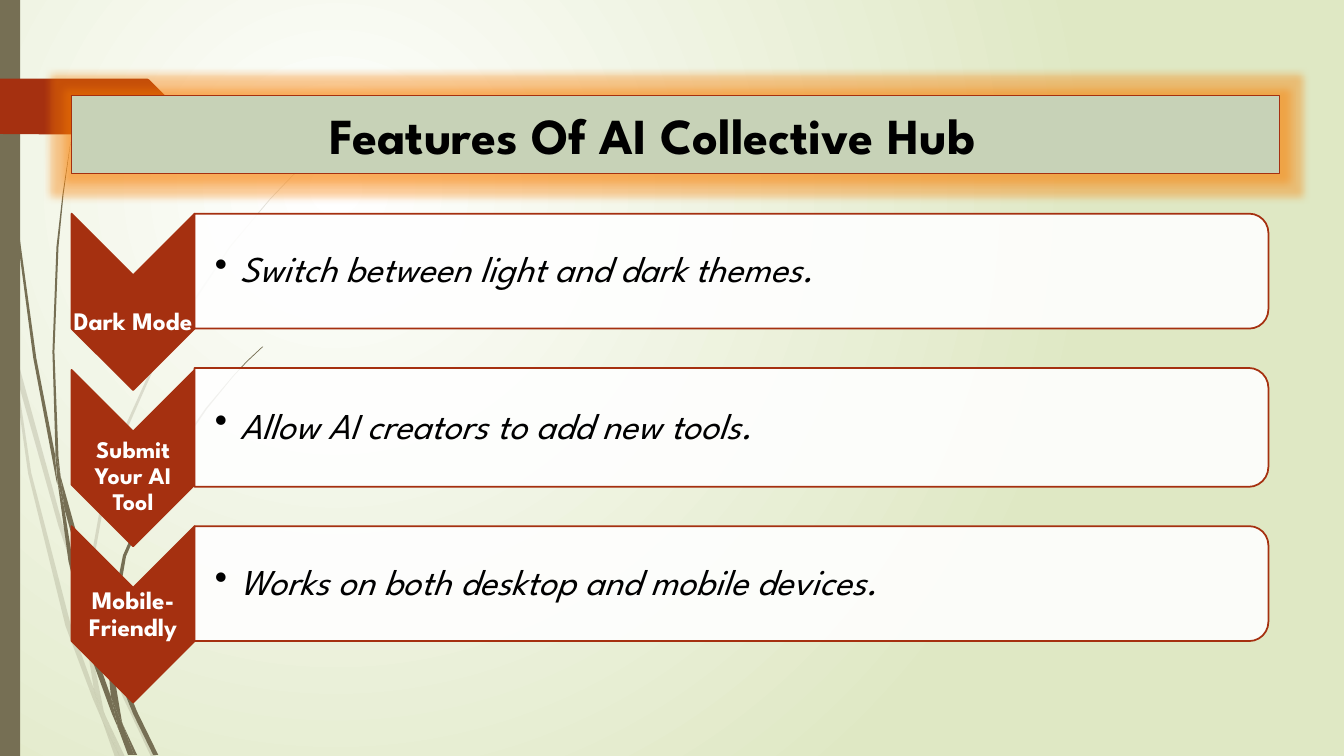
from lxml.etree import SubElement
from pptx import Presentation
from pptx.dml.color import RGBColor
from pptx.enum.shapes import MSO_SHAPE
from pptx.enum.text import MSO_ANCHOR, PP_ALIGN
from pptx.oxml.ns import qn
from pptx.util import Inches, Pt

FONT = "League Spartan"
RUST, OLIVE, SAGE, WHITE, BLACK = "A53010", "766F54", "C7D2B7", "FFFFFF", "000000"

# Outlines of the grass blades, in hundredths of an inch
PALE_BLADES = [
    "11,350 9,322 0,282 0,299 10,344",
    "58,522 84,599 85,586 62,520 14,345 17,376",
    "92,607 88,596 88,610 123,694 150,751 155,751 127,692",
    "119,751 124,751 105,711",
    "93,683 70,619 31,469 17,376 11,350 28,470 65,621 92,693 101,714 99,707",
    "84,599 87,646 93,683 96,692 105,711 103,706 91,646 88,610 88,608",
    "88,584 110,462 160,349 229,245 268,198 290,175 312,154 312,153 289,175 268,197 "
    "228,244 158,348 107,461 85,584 85,586 88,596",
    "101,714 114,751 119,751",
    "88,608 88,610 88,596 85,586 84,599",
    "96,692 93,683 99,707 101,714 119,751 105,711",
]
DARK_BLADES = [
    "7,110 17,233 33,355 56,477 57,481 55,457 55,453 36,355 19,232 8,109 5,48 4,0 3,0 4,48",
    "88,592 106,645 106,633 106,631 93,590 60,472 64,505",
    "113,649 110,641 111,656 132,708 152,749 157,749 136,706",
    "110,691 98,657 72,556 64,505 57,477 68,557 93,659 111,708 117,722 116,717",
    "60,472 58,453 54,349 58,245 63,193 70,141 62,193 56,245 52,349 55,449",
    "133,749 136,749 122,719",
    "57,477 64,505 60,472 55,449 55,453",
    "111,633 125,552 158,476 205,406 231,374 245,359 261,344 260,344 245,358 231,373 "
    "204,405 156,474 122,551 106,631 110,641",
    "117,722 127,749 131,749",
    "106,645 110,691 116,706 122,719 121,716 111,656 109,651",
    "106,645 109,651 111,656 110,641 106,631 106,633",
    "116,706 110,691 116,717 117,722 130,749 133,749 122,719",
]
RIBBON = "173,108 148,133 146,134 0,133 0,78 146,78 148,79 173,104"

# Label, label size, drop of the label below the chevron's centre, card height, text
FEATURES = [
    ("Dark Mode", 18, 0.2, 1.14, "Switch between light and dark themes."),
    ("Submit Your AI Tool", 17, 0.18, 1.18, "Allow AI creators to add new tools."),
    ("Mobile-Friendly", 18, 0, 1.14, "Works on both desktop and mobile devices."),
]


def rgb(color):
    return RGBColor.from_string(color)


def assign(target, formats):
    for name, value in formats.items():
        setattr(target, name, value)


def paint(sp, fill, line=None, width=1.25, alpha=None):
    sp.shadow.inherit = False
    sp.fill.solid()
    sp.fill.fore_color.rgb = rgb(fill)
    if alpha is not None:
        clr = sp.fill._xPr.find(qn("a:solidFill"))[0]
        SubElement(clr, qn("a:alpha"), val=str(alpha * 1000))
    if line:
        sp.line.color.rgb = rgb(line)
        sp.line.width = Pt(width)
    else:
        sp.line.fill.background()


def add_block(s, kind, x, y, w, h):
    return s.shapes.add_shape(kind, Inches(x), Inches(y), Inches(w), Inches(h))


def add_turned(s, kind, x, y, w, h):
    """Preset shape turned by 90 degrees that fills the given box."""
    sp = add_block(s, kind, x + (w - h) / 2, y + (h - w) / 2, h, w)
    sp.rotation = 90
    paint(sp, RUST, RUST)
    return sp


def write(sp, text, margins, color, para, font):
    tf = sp.text_frame
    sides = ("margin_left", "margin_top", "margin_right", "margin_bottom")
    assign(tf, dict(zip(sides, map(Inches, margins))))
    assign(tf, {"word_wrap": True, "vertical_anchor": MSO_ANCHOR.MIDDLE})
    p = tf.paragraphs[0]
    assign(p, para)
    r = p.add_run()
    r.text = text
    assign(r.font, {"name": FONT, **font})
    r.font.color.rgb = rgb(color)
    return p


def add_text(s, x, y, w, h, *args):
    box = s.shapes.add_textbox(Inches(x), Inches(y), Inches(w), Inches(h))
    return write(box, *args)


def add_outline(s, x, y, outline, fill, alpha=None):
    points = [tuple(map(int, pair.split(","))) for pair in outline.split()]
    builder = s.shapes.build_freeform(*points[0], scale=Inches(0.01))
    builder.add_line_segments(points[1:], close=True)
    paint(builder.convert_to_shape(Inches(x), Inches(y)), fill, alpha=alpha)


def add_background(s):
    fill = s.background.fill
    fill.gradient()
    for stop, color, position in zip(fill.gradient_stops, (WHITE, "DFE8C4"), (0, 1)):
        stop.color.rgb = rgb(color)
        stop.position = position
    grad = s.background._cSld.find(".//" + qn("a:gradFill"))
    grad.remove(grad.find(qn("a:lin")))
    circle = SubElement(grad, qn("a:path"), path="circle")
    SubElement(circle, qn("a:fillToRect"), l="50000", t="50000", r="100000", b="100000")


def add_decoration(s, x, y, h):
    for blade in PALE_BLADES:
        add_outline(s, x, y, blade, OLIVE, 20)
    for blade in DARK_BLADES:
        add_outline(s, x, y, blade, OLIVE)
    paint(add_block(s, MSO_SHAPE.RECTANGLE, x, y, 0.2, h), OLIVE)
    add_outline(s, x, y, RIBBON, RUST)


def add_title(s, x, y, w, h):
    bar = add_block(s, MSO_SHAPE.RECTANGLE, x, y, w, h)
    paint(bar, SAGE, RUST, 0.75)
    # Orange glow
    effects = bar._element.spPr.find(qn("a:effectLst"))
    glow = SubElement(effects, qn("a:glow"), rad=str(Inches(0.15)))
    clr = SubElement(glow, qn("a:srgbClr"), val="F87E00")
    SubElement(clr, qn("a:alpha"), val="40000")
    write(bar, "Features Of AI Collective Hub", (2.56, 0.05, 0.1, 0.05), BLACK,
          {"alignment": PP_ALIGN.LEFT}, {"size": Pt(36), "bold": True})


def add_feature(s, x, y, w, label, size, drop, card_h, text):
    arrow_w, arrow_h, middle = 1.22, 1.75, y + 0.57
    # Chevron and its label
    add_turned(s, MSO_SHAPE.CHEVRON, x, y, arrow_w, arrow_h)
    add_text(s, x, y + 0.62 + drop, arrow_w, 0.52, label, [0.01] * 4, WHITE,
             {"alignment": PP_ALIGN.CENTER, "line_spacing": 0.9},
             {"size": Pt(size), "bold": True})
    # Card and its bulleted text
    card_x, card_w = x + arrow_w, w - arrow_w
    card = add_turned(s, MSO_SHAPE.ROUND_2_SAME_RECTANGLE,
                      card_x, middle - card_h / 2, card_w, card_h)
    paint(card, WHITE, RUST, alpha=90)
    p = add_text(s, card_x, middle - 0.52, card_w, 1.04, text, (0.2, 0.02, 0.02, 0.02),
                 BLACK, {"line_spacing": 0.9}, {"size": Pt(26), "italic": True})
    pPr = p._p.get_or_add_pPr()
    pPr.set("marL", str(Inches(0.25)))
    pPr.set("indent", str(-Inches(0.25)))
    SubElement(pPr, qn("a:buChar"), char="•")


def main():
    prs = Presentation()
    assign(prs, {"slide_width": Inches(13.33), "slide_height": Inches(7.5)})
    s = prs.slides.add_slide(prs.slide_layouts[6])
    add_background(s)
    add_decoration(s, 0, 0, 7.5)
    add_title(s, 0.71, 0.95, 11.98, 0.77)
    for i, feature in enumerate(FEATURES):
        add_feature(s, 0.71, 2.12 + 1.55 * i, 11.87, *feature)
    prs.save("out.pptx")


if __name__ == "__main__":
    main()
